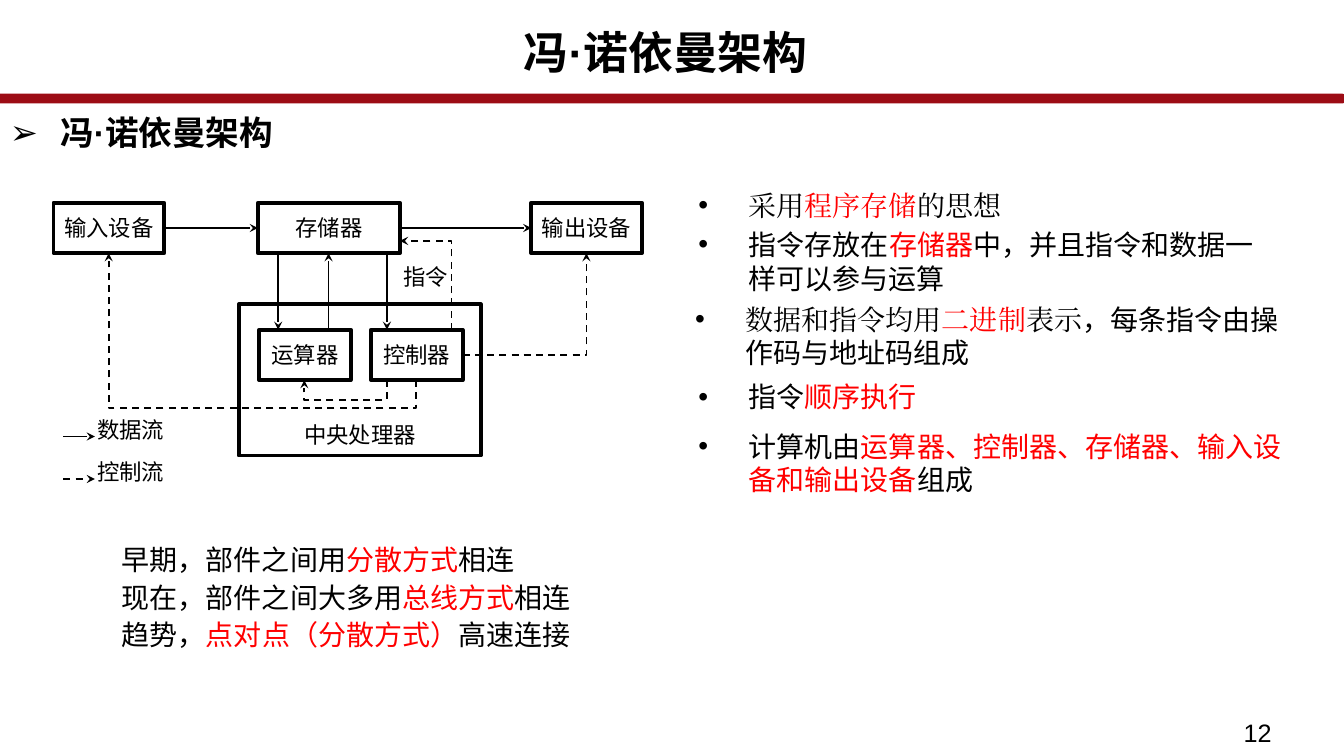
from pptx import Presentation, util as u
from pptx.dml.color import RGBColor
from pptx.enum import dml, shapes, text
from pptx.oxml import ns
from lxml import etree

BLACK = RGBColor(0x00, 0x00, 0x00)
WHITE = RGBColor(0xFF, 0xFF, 0xFF)
RED = RGBColor(0xFF, 0x00, 0x00)
CRIMSON = RGBColor(0x9C, 0x0C, 0x15)
SANS, SERIF, CJK = "Arial", "Times New Roman", "Noto Sans CJK SC"

# All lengths are centimetres. A paragraph is a list of (words, colour[, font]).
TITLE = "冯·诺依曼架构 "
HEADING = "冯·诺依曼架构"
PAGE_NUMBER = "12"

POINTS = [  # left, top, width, height, font, runs
    (17.35, 4.62, 15.98, 1.12, SERIF,
     [("采用", BLACK), ("程序存储", RED), ("的思想", BLACK)]),
    (17.35, 5.61, 15.16, 1.96, SANS,
     [("指令存放在", BLACK), ("存储器", RED),
      ("中，并且指令和数据一样可以参与运算", BLACK)]),
    (17.27, 7.49, 15.32, 1.96, SERIF,
     [("数据和指令均用", BLACK), ("二进制", RED), ("表示", BLACK),
      ("，每条指令由操作码与地址码组成", BLACK, SANS)]),
    (17.35, 9.45, 13.26, 1.12, SANS, [("指令", BLACK), ("顺序执行", RED)]),
    (17.35, 10.69, 15.32, 1.96, SANS,
     [("计算机由", BLACK),
      ("运算器、控制器、存储器、输入设备和输出设备", RED), ("组成", BLACK)]),
]

CONNECTION_STYLES = [
    [("早期，部件之间用", BLACK), ("分散方式", RED), ("相连", BLACK)],
    [("现在，部件之间大多用", BLACK), ("总线方式", RED), ("相连", BLACK)],
    [("趋势，", BLACK), ("点对点（分散方式）", RED), ("高速连接", BLACK)],
]

UNIT_HEIGHT = 1.27
DEVICE_TOP, CORE_TOP = 5.11, 8.31
DEVICE_MID, CORE_MID = DEVICE_TOP + UNIT_HEIGHT / 2, CORE_TOP + UNIT_HEIGHT / 2
DEVICE_BOTTOM, CORE_BOTTOM = DEVICE_TOP + UNIT_HEIGHT, CORE_TOP + UNIT_HEIGHT
UNITS = [  # name, left, top, width
    ("输入设备", 1.35, DEVICE_TOP, 2.79),
    ("存储器", 6.5, DEVICE_TOP, 3.58),
    ("输出设备", 13.39, DEVICE_TOP, 2.79),
    ("运算器", 6.53, CORE_TOP, 2.31),
    ("控制器", 9.35, CORE_TOP, 2.31),
]
PROCESSOR = (6.02, 7.67, 6.1, 3.81)
LABELS = [  # name, left, top, width, height
    ("中央处理器", 7.32, 10.49, 3.51, 0.91),
    ("指令", 9.88, 6.5, 1.68, 0.94),
    ("数据流", 1.9, 10.36, 2.79, 0.71),
    ("控制流", 1.9, 11.43, 2.79, 0.71),
]
DATA_FLOWS = [
    ((4.14, DEVICE_MID), (6.5, DEVICE_MID)),
    ((10.08, DEVICE_MID), (13.39, DEVICE_MID)),
    ((7.01, DEVICE_BOTTOM), (7.01, CORE_TOP)),
    ((8.28, CORE_TOP), (8.28, DEVICE_BOTTOM)),
    ((9.75, DEVICE_BOTTOM), (9.75, CORE_TOP)),
    ((1.6, 11.0), (2.39, 11.0)),
]
CONTROL_FLOWS = [
    ((9.75, CORE_BOTTOM), (9.75, 10.08), (7.67, 10.08), (7.67, CORE_BOTTOM)),
    ((10.49, CORE_BOTTOM), (10.49, 10.29), (2.74, 10.29), (2.74, DEVICE_BOTTOM)),
    ((11.38, CORE_TOP), (11.38, 6.07), (10.08, 6.07)),
    ((11.66, CORE_MID), (14.78, CORE_MID), (14.78, DEVICE_BOTTOM)),
    ((1.6, 12.07), (2.39, 12.07)),
]


def lengths(*values):
    return [u.Cm(value) for value in values]


def write(frame, paragraphs, size=20, font=SANS, bold=False, align=None,
          bullet=None, spacing=None, gap=0, after=0, wrap=True):
    frame.word_wrap = wrap
    for index, runs in enumerate(paragraphs):
        para = frame.paragraphs[0] if index == 0 else frame.add_paragraph()
        if bullet:
            props = para._p.get_or_add_pPr()
            props.set("marL", str(u.Cm(1.27)))
            props.set("indent", str(u.Cm(-1.27)))
            etree.SubElement(props, ns.qn("a:buFont")).set("typeface", SANS)
            etree.SubElement(props, ns.qn("a:buChar")).set("char", bullet)
        if align:
            para.alignment = align
        if spacing:
            para.line_spacing = spacing
        if gap and index:
            para.space_before = u.Pt(gap)
        if after:
            para.space_after = u.Pt(after)
        for words, color, *other_font in runs:
            span = para.add_run()
            span.text = words
            span.font.size = u.Pt(size)
            span.font.bold = bold
            span.font.color.rgb = color
            span.font.name = other_font[0] if other_font else font
            east_asian = etree.SubElement(span._r.get_or_add_rPr(), ns.qn("a:ea"))
            east_asian.set("typeface", span.font.name)


def add_text(parent, place, paragraphs, **style):
    box = parent.shapes.add_textbox(*lengths(*place))
    write(box.text_frame, paragraphs, **style)


def add_block(parent, place, kind=shapes.MSO_SHAPE.RECTANGLE, fill=None, line=BLACK):
    block = parent.shapes.add_shape(kind, *lengths(*place))
    block.shadow.inherit = False
    if fill is None:
        block.fill.background()
    else:
        block.fill.solid()
        block.fill.fore_color.rgb = fill
    block.line.color.rgb = line
    block.line.width = u.Pt(2.75)
    return block


def add_arrow(parent, stops, dashed=False):
    """Draw an arrow through the stops, ending with a stealth head."""
    points = [lengths(*stop) for stop in stops]
    if len(points) == 2:
        arrow = parent.shapes.add_connector(
            shapes.MSO_CONNECTOR.STRAIGHT, *points[0], *points[1])
    else:
        outline = parent.shapes.build_freeform(*points[0])
        outline.add_line_segments(points[1:], close=False)
        arrow = outline.convert_to_shape()
        arrow.fill.background()
    arrow.line.color.rgb = BLACK
    arrow.line.width = u.Pt(1.25)
    if dashed:
        arrow.line.dash_style = dml.MSO_LINE.DASH
    props = arrow._element.spPr
    etree.SubElement(props.get_or_add_ln(), ns.qn("a:tailEnd")).set("type", "stealth")
    etree.SubElement(props, ns.qn("a:effectLst"))


def add_diagram(page):
    diagram = page.shapes.add_group_shape()
    center = text.PP_ALIGN.CENTER
    for name, left, top, width in UNITS:
        block = add_block(diagram, (left, top, width, UNIT_HEIGHT), fill=WHITE)
        block.text_frame.vertical_anchor = text.MSO_ANCHOR.MIDDLE
        write(block.text_frame, [[(name, BLACK)]], size=16, font=CJK,
              align=center, wrap=False)
    add_block(diagram, PROCESSOR)
    for name, *place in LABELS:
        add_text(diagram, place, [[(name, BLACK)]], size=16, font=CJK, align=center)
    for stops in DATA_FLOWS:
        add_arrow(diagram, stops)
    for stops in CONTROL_FLOWS:
        add_arrow(diagram, stops, dashed=True)


def main():
    deck = Presentation()
    deck.slide_width, deck.slide_height = lengths(33.87, 19.05)
    page = deck.slides.add_slide(deck.slide_layouts[6])
    add_block(page, (-0.03, 2.41, 33.88, 0.15),
              kind=shapes.MSO_SHAPE.ROUNDED_RECTANGLE, fill=CRIMSON, line=CRIMSON)
    add_text(page, (0, 0.66, 33.87, 1.9), [[(TITLE, BLACK)]], size=32, bold=True,
             align=text.PP_ALIGN.CENTER, spacing=0.89)
    add_text(page, (31.09, 17.96, 2.77, 1.12), [[(PAGE_NUMBER, BLACK)]], size=18)
    add_text(page, (0, 2.79, 13.72, 1.3), [[(HEADING, BLACK)]], size=24, bold=True,
             bullet="➢", spacing=0.94, after=2)
    for *place, font, runs in POINTS:
        add_text(page, place, [runs], font=font, bullet="•")
    add_diagram(page)
    add_text(page, (2.82, 13.54, 13.56, 3.07), CONNECTION_STYLES, gap=3)
    deck.save("out.pptx")


if __name__ == "__main__":
    main()
